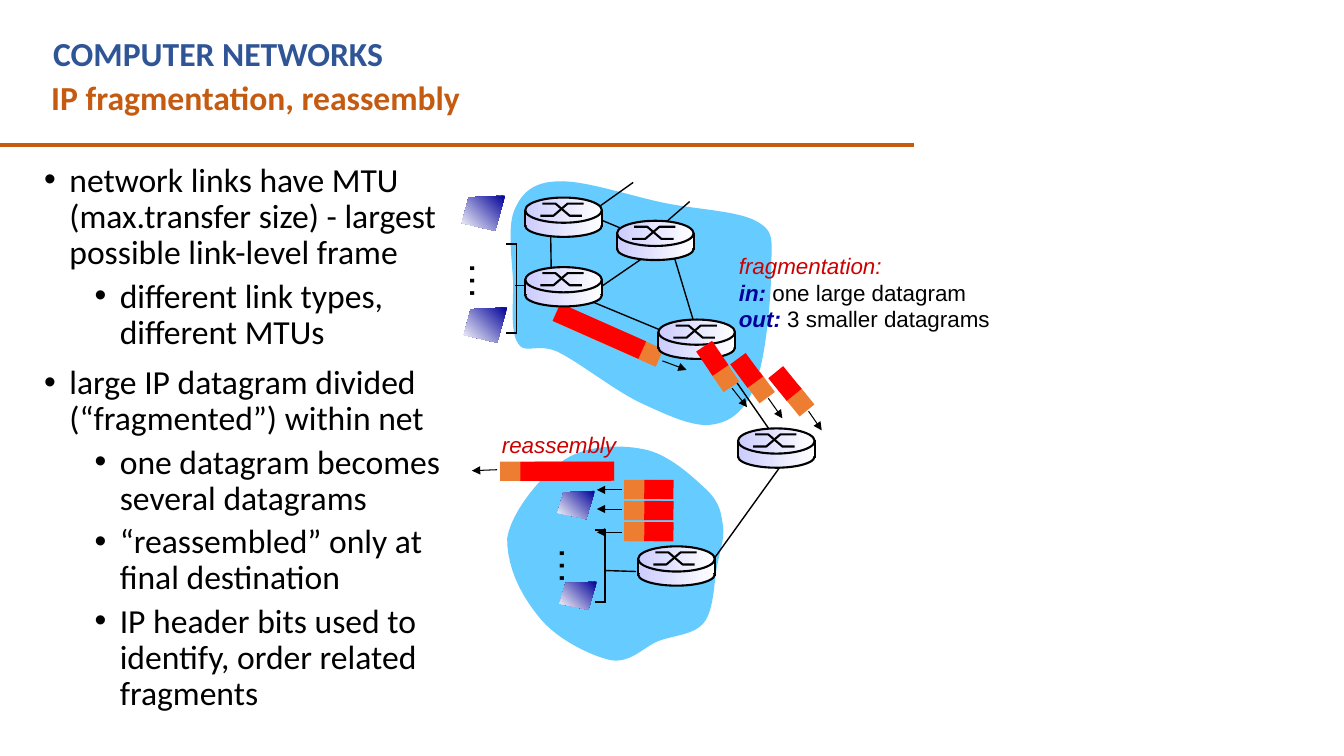
import dataclasses

import lxml.etree
import pptx
import pptx.dml.color
import pptx.enum.dml
import pptx.enum.shapes
import pptx.enum.text
import pptx.oxml.ns
import pptx.util

EMU_PER_PX = 9144
SHAPES = pptx.enum.shapes.MSO_SHAPE


@dataclasses.dataclass(frozen=True)
class Theme:
    heading: str = "2F5597"
    accent: str = "C55A11"
    ink: str = "000000"
    cloud: str = "66CCFF"
    header: str = "ED7D31"
    payload: str = "FF0000"
    caption: str = "CC0000"
    keyword: str = "000099"
    router: tuple = ("CCCCFF", "FFFFFF", 0)
    host: tuple = ("000099", "FFFFFF", 225)
    text_font: str = "Calibri"
    label_font: str = "Arial"
    text_size: int = 24
    label_size: int = 16
    dots_size: int = 28


THEME = Theme()


def px(value):
    return pptx.util.Emu(round(value * EMU_PER_PX))


def rgb(color):
    return pptx.dml.color.RGBColor.from_string(color)


def add_element(parent, tag, **attributes):
    return lxml.etree.SubElement(parent, pptx.oxml.ns.qn(tag), **attributes)


def paint(shape, fill=None, line_width=None):
    """Fill is a colour, a (start, end, angle) gradient or None."""
    shape.shadow.inherit = False
    if fill is None:
        shape.fill.background()
    elif isinstance(fill, tuple):
        shape.fill.gradient()
        shape.fill.gradient_angle = fill[2]
        for stop, color in zip(shape.fill.gradient_stops, fill):
            stop.color.rgb = rgb(color)
    else:
        shape.fill.solid()
        shape.fill.fore_color.rgb = rgb(fill)
    if line_width is None:
        shape.line.fill.background()
    else:
        shape.line.color.rgb = rgb(THEME.ink)
        shape.line.width = pptx.util.Pt(line_width)


def add_run(paragraph, text, size, font, color, bold=False, italic=False):
    run = paragraph.add_run()
    run.text = text
    run.font.size = pptx.util.Pt(size)
    run.font.name = font
    run.font.color.rgb = rgb(color)
    run.font.bold = bold
    run.font.italic = italic


@dataclasses.dataclass
class Region:
    """A box on the slide; everything drawn in it is measured from its corner."""
    slide: object
    left: int
    top: int
    width: int
    height: int

    def inner(self, left, top, width, height):
        return Region(self.slide, self.left + left, self.top + top, width, height)

    def shape(self, kind, left, top, width, height, fill, line_width=None, rotation=0):
        shape = self.slide.shapes.add_shape(
            kind, px(self.left + left), px(self.top + top), px(width), px(height))
        shape.rotation = rotation
        paint(shape, fill, line_width)

    def outline(self, points, fill=None, line_width=None, close=True):
        vertices = [(px(self.left + x), px(self.top + y)) for x, y in points]
        builder = self.slide.shapes.build_freeform(*vertices[0], scale=1.0)
        builder.add_line_segments(vertices[1:], close=close)
        paint(builder.convert_to_shape(), fill, line_width)

    def line(self, x1, y1, x2, y2, width=1.0, color=THEME.ink, arrow=False):
        connector = self.slide.shapes.add_connector(
            pptx.enum.shapes.MSO_CONNECTOR.STRAIGHT,
            px(self.left + x1), px(self.top + y1), px(self.left + x2), px(self.top + y2))
        connector.line.color.rgb = rgb(color)
        connector.line.width = pptx.util.Pt(width)
        if arrow:
            add_element(connector.line._get_or_add_ln(), "a:tailEnd", type="triangle")
        add_element(connector._element.spPr, "a:effectLst")

    def text(self, wrap=False, grow=True, rotation=0):
        """Add a text box that covers the region and return its frame."""
        box = self.slide.shapes.add_textbox(
            px(self.left), px(self.top), px(self.width), px(self.height))
        box.rotation = rotation
        frame = box.text_frame
        frame.word_wrap = wrap
        sizing = pptx.enum.text.MSO_AUTO_SIZE
        frame.auto_size = sizing.SHAPE_TO_FIT_TEXT if grow else sizing.NONE
        return frame


def curve_points(start, curves, steps=12):
    """Sample a chain of cubic curves, each given as x1, y1, x2, y2, x, y."""
    points = [start]
    for x1, y1, x2, y2, x3, y3 in curves:
        x0, y0 = points[-1]
        for step in range(1, steps + 1):
            t = step / steps
            a, b, c, d = (1 - t) ** 3, 3 * t * (1 - t) ** 2, 3 * t * t * (1 - t), t ** 3
            points.append((a * x0 + b * x1 + c * x2 + d * x3,
                           a * y0 + b * y1 + c * y2 + d * y3))
    return points


def draw_router(region):
    width = region.width
    region.shape(SHAPES.OVAL, 0, 17, width, 22, THEME.router, 1.5)
    region.shape(SHAPES.RECTANGLE, 0, 14, width, 13, THEME.router)
    region.shape(SHAPES.OVAL, 0, 0, width, 25, THEME.router, 1.5)
    for cross in ([(15, 18), (28, 18), (42, 6), (58, 6)],
                  [(17, 6), (30, 6), (44, 18), (56, 18)]):
        region.outline(cross, line_width=1.5, close=False)
    for x in (0, width):
        region.line(x, 12, x, 29, 1.5)


def draw_packet(region, header, payload, sizes, rotation, arrow):
    """Header and payload are corners; sizes are their two lengths."""
    for corner, length, color in zip((header, payload), sizes, (THEME.header, THEME.payload)):
        region.shape(SHAPES.RECTANGLE, *corner, length, 19, color, rotation=rotation)
    region.line(*arrow, width=0.75, arrow=True)


def draw_hosts(region, host_width, host_height, bracket_top, bracket_bottom, dots):
    """Two hosts with dots between them and a bracket on the right."""
    right = region.width
    for y in (bracket_top, bracket_bottom):
        region.line(right - 11, y, right, y, 1.5)
    region.line(right - 1, bracket_top, right - 1, bracket_bottom)
    for x, y in ((0, 0), (2, region.height - host_height)):
        corners = ((1, 0), (0.16, 0.05), (0, 0.78), (0.77, 1))
        region.outline([(x + u * host_width, y + v * host_height) for u, v in corners],
                       THEME.host)
    frame = region.inner(*dots, 59, 57).text(rotation=90)
    add_run(frame.paragraphs[0], "…", THEME.dots_size, THEME.label_font, THEME.ink)


def draw_title(region):
    titles = ((2, 0, 820, "COMPUTER NETWORKS", THEME.heading),
              (0, 43, 875, "IP fragmentation, reassembly", THEME.accent))
    for left, top, width, text, color in titles:
        frame = region.inner(left, top, width, 50).text(wrap=True)
        add_run(frame.paragraphs[0], text, THEME.text_size, THEME.text_font, color, bold=True)
    region.line(-42, 116, 866, 116, 3, THEME.accent)


def draw_bullets(region):
    frame = region.text(wrap=True, grow=False)
    bullets = (
        (0, "network links have MTU (max.transfer size) - largest possible link-level frame"),
        (1, "different link types, different MTUs"),
        (0, "large IP datagram divided (“fragmented”) within net"),
        (1, "one datagram becomes several datagrams"),
        (1, "“reassembled” only at final destination"),
        (1, "IP header bits used to identify, order related fragments"))
    for index, (level, text) in enumerate(bullets):
        paragraph = frame.add_paragraph() if index else frame.paragraphs[0]
        properties = paragraph._p.get_or_add_pPr()
        properties.set("marL", str(px(25 + 50 * level)))
        properties.set("indent", str(px(-25)))
        add_element(properties, "a:buFont", typeface=THEME.label_font)
        add_element(properties, "a:buChar", char="•")
        paragraph.level = level
        paragraph.line_spacing = 0.9
        if index:
            paragraph.space_before = pptx.util.Pt(5 if level else 10)
        add_run(paragraph, text, THEME.text_size, THEME.text_font, THEME.ink)


def draw_fragmentation(region):
    region.outline(curve_points((102, 10), (
        (78, 11, 67, 22, 60, 39), (53, 56, 58, 89, 59, 111), (59, 133, 56, 160, 64, 171),
        (71, 182, 83, 170, 103, 179), (124, 189, 160, 218, 186, 230),
        (212, 242, 239, 255, 258, 251), (277, 248, 291, 235, 300, 209),
        (310, 183, 315, 122, 315, 96), (315, 69, 319, 60, 301, 50),
        (283, 39, 240, 38, 207, 31), (174, 24, 127, 8, 102, 10))), THEME.cloud)
    for link in ((61, 113, 75, 113), (124, 39, 196, 69), (216, 76, 238, 149),
                 (96, 51, 97, 115), (122, 123, 228, 167), (313, 256, 261, 181),
                 (208, 72, 125, 129), (178, 11, 126, 48), (234, 30, 204, 56)):
        region.line(*link)
    draw_packet(region, (97, 153), (98, 149), (112, 93), 23.9, (207, 188, 231, 197))
    frame = region.inner(273, 75, 270, 90).text()
    label = (THEME.label_size, THEME.label_font)
    add_run(frame.paragraphs[0], "fragmentation:", *label, THEME.caption, italic=True)
    for keyword, text in (("in:", " one large datagram"), ("out:", " 3 smaller datagrams")):
        paragraph = frame.add_paragraph()
        add_run(paragraph, keyword, *label, THEME.keyword, bold=True, italic=True)
        add_run(paragraph, text, *label, THEME.ink)
    draw_hosts(region.inner(8, 24, 55, 146), 43, 35, 48, 136, (-6, 57))
    for corner in ((203, 147), (71, 26), (71, 95), (162, 49), (282, 255)):
        draw_router(region.inner(*corner, 76, 39))
    for header, payload, rotation, arrow in (
            ((256, 194), (242, 176), 55.8, (276, 215, 291, 234)),
            ((291, 205), (276, 188), 53.6, (312, 225, 326, 245)),
            ((330, 218), (314, 201), 50.9, (352, 238, 365, 257))):
        draw_packet(region, header, payload, (25, 29), rotation, arrow)


def draw_reassembly(region):
    region.outline(curve_points((43, 124), (
        (47, 98, 77, 61, 100, 46), (123, 31, 157, 31, 180, 36), (204, 41, 228, 64, 241, 76),
        (254, 89, 255, 98, 257, 111), (259, 124, 254, 136, 251, 153),
        (248, 169, 248, 196, 238, 208), (228, 220, 209, 220, 193, 226),
        (178, 232, 166, 248, 146, 245), (127, 241, 94, 225, 77, 205),
        (60, 185, 43, 157, 43, 124))), THEME.cloud)
    region.line(316, 50, 247, 146)
    region.line(140, 156, 171, 157)
    for index, arrow_y in enumerate((76, 95, 118)):
        top = 66 + 21 * index
        draw_packet(region, (159, top), (179, top), (25, 29), 180.4,
                    (157, arrow_y, 132, arrow_y))
    draw_packet(region, (36, 48), (56, 48), (113, 93), 179.9, (33, 56, 8, 57))
    frame = region.inner(28, 13, 134, 37).text()
    add_run(frame.paragraphs[0], "reassembly", THEME.label_size, THEME.label_font,
            THEME.caption, italic=True)
    draw_router(region.inner(173, 132, 76, 39))
    draw_hosts(region.inner(93, 77, 48, 118), 37, 28, 39, 110, (-12, 46))


def main():
    presentation = pptx.Presentation()
    presentation.slide_width, presentation.slide_height = px(1333), px(750)
    slide = presentation.slides.add_slide(presentation.slide_layouts[6])
    draw_title(Region(slide, 41, 28, 875, 116))
    draw_bullets(Region(slide, 34, 157, 417, 557))
    draw_reassembly(Region(slide, 460, 410, 320, 250))
    draw_fragmentation(Region(slide, 450, 170, 545, 300))
    presentation.save("out.pptx")


if __name__ == "__main__":
    main()
